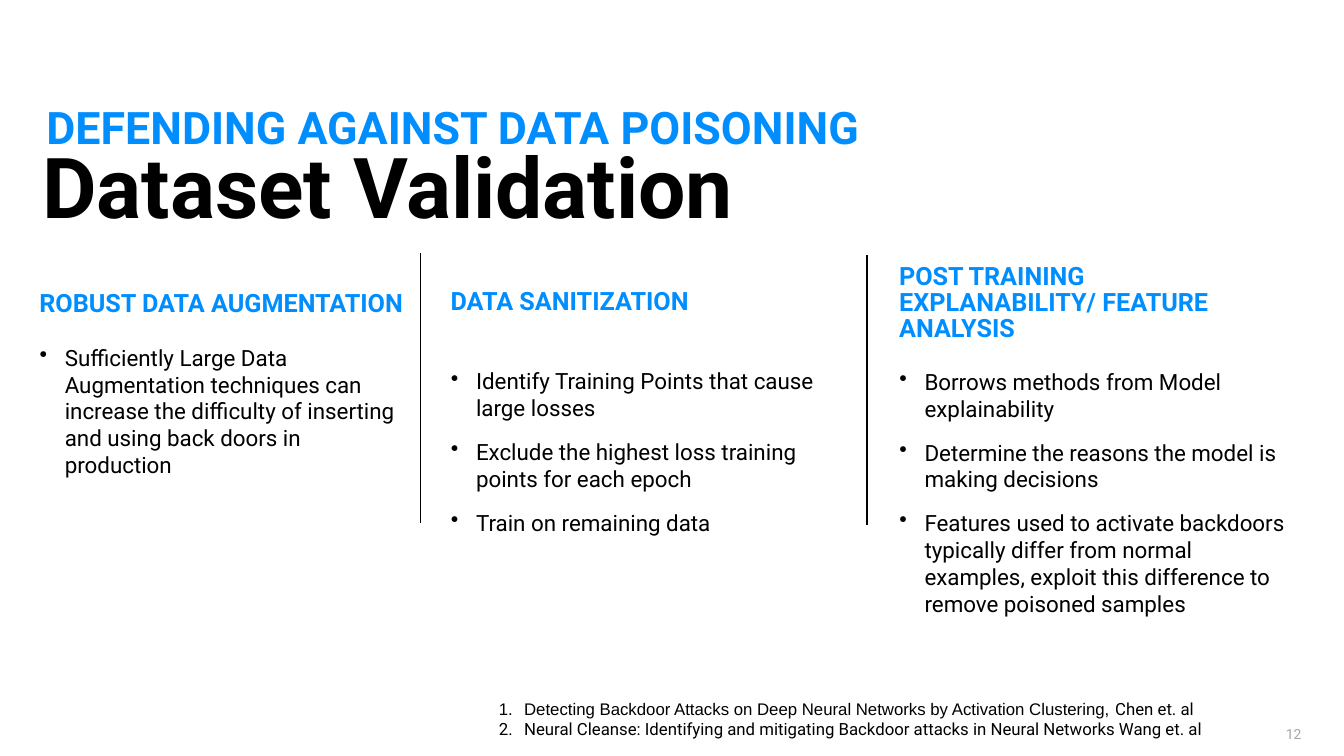
from lxml import etree
from pptx import Presentation
from pptx import util as u
from pptx.dml.color import RGBColor
from pptx.enum import shapes, text
from pptx.oxml import ns

BLUE = RGBColor(0x00, 0x8E, 0xFF)
BLACK = RGBColor(0x00, 0x00, 0x00)
GRAY = RGBColor(0xA6, 0xA6, 0xA6)

presentation = Presentation()
presentation.slide_width = u.Pt(960)
presentation.slide_height = u.Pt(540)
slide = presentation.slides.add_slide(presentation.slide_layouts[6])


def add_box(left, top, width, height, inset_top=7.2, inset_bottom=3.6):
    shape = slide.shapes.add_textbox(u.Pt(left), u.Pt(top), u.Pt(width), u.Pt(height))
    frame = shape.text_frame
    frame.word_wrap = True
    frame.margin_left = frame.margin_right = 0
    frame.margin_top = u.Pt(inset_top)
    frame.margin_bottom = u.Pt(inset_bottom)
    return frame


def add_text(frame, content, size=16, color=BLACK, bold=False, font="Roboto", line=1.0,
             after=0, margin=0, hanging=0, bullet=None, align=text.PP_ALIGN.LEFT):
    first = frame.paragraphs[0]
    paragraph = frame.add_paragraph() if first.runs else first
    properties = paragraph._p.get_or_add_pPr()
    properties.set("marL", str(u.Pt(margin)))
    properties.set("indent", str(u.Pt(-hanging)))
    if bullet:
        tag, attribute, value = bullet
        etree.SubElement(properties, ns.qn(tag)).set(attribute, value)
    paragraph.alignment = align
    paragraph.line_spacing = line
    paragraph.space_before = u.Pt(0)
    paragraph.space_after = u.Pt(after)
    run = paragraph.add_run()
    run.text = content
    run.font.size = u.Pt(size)
    run.font.name = font
    run.font.bold = bold
    run.font.color.rgb = color
    return paragraph


number_frame = add_box(905.8, 513.4, 23.8, 16.6, inset_top=0, inset_bottom=0)
number_frame.vertical_anchor = text.MSO_ANCHOR.BOTTOM
add_text(number_frame, "12", size=10, color=GRAY, align=text.PP_ALIGN.RIGHT)

add_text(add_box(33.1, 77.8, 675.4, 39.6, inset_top=3.6, inset_bottom=0),
         "DEFENDING AGAINST DATA POISONING", size=32, color=BLUE, bold=True, line=0.7)
add_text(add_box(25.9, 100.1, 907.2, 63.4),
         "Dataset Validation", size=60, bold=True, line=0.85, after=12, margin=4.3)

columns = [
    (23.8, 201.5, 269.3, 150, 18.5, "ROBUST DATA AUGMENTATION", [
        "Sufficiently Large Data Augmentation techniques can increase the difficulty "
        "of inserting and using back doors in production",
    ]),
    (317.5, 200, 284.4, 190, 37, "DATA SANITIZATION", [
        "Identify Training Points that cause large losses",
        "Exclude the highest loss training points for each epoch",
        "Train on remaining data",
    ]),
    (637.9, 182.2, 280.1, 260, 18.5, "POST TRAINING EXPLANABILITY/ FEATURE ANALYSIS", [
        "Borrows methods from Model explainability",
        "Determine the reasons the model is making decisions",
        "Features used to activate backdoors typically differ from normal examples, "
        "exploit this difference to remove poisoned samples",
    ]),
]
for left, top, width, height, gap, heading, points in columns:
    column_frame = add_box(left, top, width, height)
    add_text(column_frame, heading, size=18, color=BLUE, bold=True, line=0.85,
             after=gap, margin=4.3)
    for point in points:
        add_text(column_frame, point, after=12, margin=22.5, hanging=18,
                 bullet=("a:buChar", "char", "•"))

for x, top in [(300.2, 180.7), (619.2, 182.2)]:
    divider = slide.shapes.add_connector(
        shapes.MSO_CONNECTOR.STRAIGHT, u.Pt(x), u.Pt(top), u.Pt(x), u.Pt(top + 192.6))
    divider.line.color.rgb = BLACK
    divider.line.width = u.Pt(1)
    etree.SubElement(divider._element.spPr, ns.qn("a:effectLst"))

reference_frame = add_box(356.4, 499, 573.8, 47.5, inset_top=0)
references = [
    ("Detecting Backdoor Attacks on Deep Neural Networks by Activation Clustering, ", "Arial"),
    ("Neural Cleanse: Identifying and mitigating Backdoor attacks in Neural Networks Wang et. al",
     "Roboto"),
]
for reference, font in references:
    add_text(reference_frame, reference, size=12, font=font, margin=18, hanging=18,
             bullet=("a:buAutoNum", "type", "arabicPeriod"))
author = reference_frame.paragraphs[0].add_run()
author.text = "Chen et. al"
author.font.size = u.Pt(12)
author.font.name = "Roboto"
author.font.color.rgb = BLACK

presentation.save("out.pptx")
